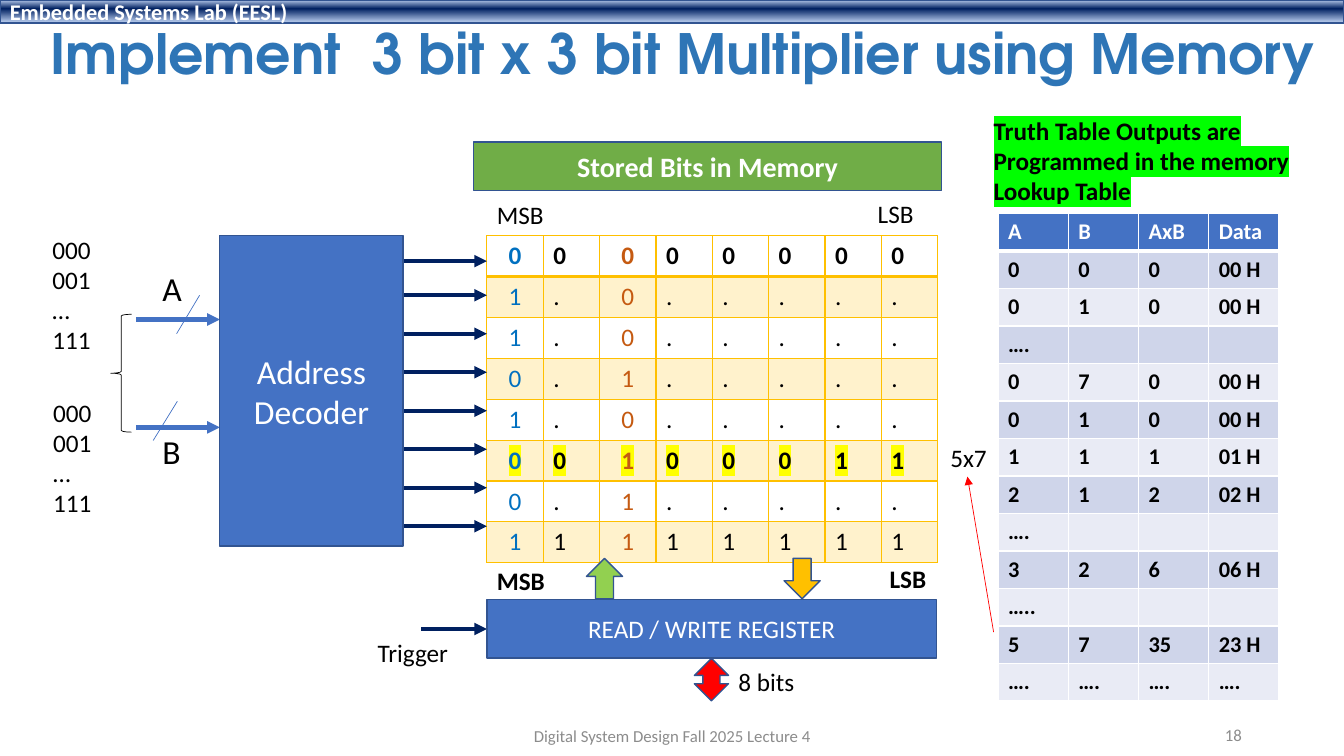
import lxml.etree
import pptx
import pptx.dml.color
import pptx.enum.shapes
import pptx.enum.text
import pptx.oxml.ns
import pptx.util

Cm, Pt = pptx.util.Cm, pptx.util.Pt
RGB = pptx.dml.color.RGBColor.from_string
qn = pptx.oxml.ns.qn
SubElement = lxml.etree.SubElement
MSO = pptx.enum.shapes.MSO_SHAPE
ALIGN = pptx.enum.text.PP_ALIGN
MIDDLE = pptx.enum.text.MSO_ANCHOR.MIDDLE

C = {
    "black": "000000", "white": "FFFFFF", "grey": "8C8C8C", "title": "2E75B6",
    "blue": "4472C4", "edge": "325491", "navy": "002060", "pale": "ABC0E4",
    "msb": "0070C0", "rust": "C55A11", "gold": "FFC000", "cream": "FFF2CC",
    "band1": "CFD5EA", "band2": "E9EBF5", "green": "70AD47", "lime": "92D050",
    "red": "FF0000", "yellow": "FFFF00", "neon": "00FF00",
}


def write(tf, text, size=18, color="black", bold=False, align=ALIGN.LEFT,
          highlight=None, font="Calibri"):
    """Fill a text frame with one paragraph per line of text."""
    for i, line in enumerate(text.split("\n")):
        p = tf.add_paragraph() if i else tf.paragraphs[0]
        p.alignment = align
        if not line:
            SubElement(p._p, qn("a:endParaRPr"), sz=str(size * 100))
            continue
        r = p.add_run()
        r.text = line
        r.font.size, r.font.bold, r.font.name = Pt(size), bold, font
        r.font.color.rgb = RGB(C[color])
        if highlight:
            mark = lxml.etree.Element(qn("a:highlight"))
            SubElement(mark, qn("a:srgbClr"), val=C[highlight])
            r._r.rPr.find(qn("a:solidFill")).addnext(mark)


def style_cell(cell, fill, border, top=1, bottom=1):
    """Set fill and borders; top and bottom are line widths in points."""
    if fill:
        cell.fill.solid()
        cell.fill.fore_color.rgb = RGB(C[fill])
    else:
        cell.fill.background()
    tcPr = cell._tc.get_or_add_tcPr()
    widths = {"a:lnL": 1, "a:lnR": 1, "a:lnT": top, "a:lnB": bottom}
    for i, (tag, width) in enumerate(widths.items()):
        ln = lxml.etree.Element(qn(tag), w=str(Pt(width)))
        SubElement(SubElement(ln, qn("a:solidFill")), qn("a:srgbClr"), val=C[border])
        tcPr.insert(i, ln)


prs = pptx.Presentation()
prs.slide_width, prs.slide_height = Cm(33.87), Cm(19.05)
s = prs.slides.add_slide(prs.slide_layouts[6])

# Memory contents, one string per word
words = ["00000000", "1.0.....", "1.0.....", "0.1.....",
         "1.0.....", "00100011", "0.1.....", "11111111"]
product_row = 5
memory = s.shapes.add_table(8, 8, Cm(12.27), Cm(5.94), Cm(11.36), Cm(7.76)).table
for col in memory.columns:
    col.width = Cm(1.42)
for i, word in enumerate(words):
    memory.rows[i].height = Cm(0.97)
    for j, bit in enumerate(word):
        cell = memory.cell(i, j)
        write(cell.text_frame, bit, color={0: "msb", 2: "rust"}.get(j, "black"),
              bold=i in (0, product_row),
              align=ALIGN.CENTER if j in (0, 2) else ALIGN.LEFT,
              highlight="yellow" if i == product_row else None)
        style_cell(cell, "cream" if i % 2 else None, "gold",
                   top=2 if i == 1 else 1, bottom=2 if i == 0 else 1)

# Truth table
truth_rows = [
    ("A", "B", "AxB", "Data"),
    ("0", "0", "0", "00 H"),
    ("0", "1", "0", "00 H"),
    ("….", "", "", ""),
    ("0", "7", "0", "00 H"),
    ("0", "1", "0", "00 H"),
    ("1", "1", "1", "01 H"),
    ("2", "1", "2", "02 H"),
    ("….", "", "", ""),
    ("3", "2", "6", "06 H"),
    ("…..", "", "", ""),
    ("5", "7", "35", "23 H"),
    ("….", "….", "….", "…."),
]
truth = s.shapes.add_table(13, 4, Cm(25.15), Cm(5.38), Cm(7.08), Cm(12.09)).table
for col in truth.columns:
    col.width = Cm(1.77)
for i, row in enumerate(truth_rows):
    truth.rows[i].height = Cm(0.93)
    for j, value in enumerate(row):
        cell = truth.cell(i, j)
        write(cell.text_frame, value, 16, "black" if i else "white", bold=True)
        fill = ("band2", "band1")[i % 2] if i else "blue"
        style_cell(cell, fill, "white", top=3 if i == 1 else 1, bottom=1 if i else 3)

# Lines and arrows: start, end, colour, width, arrowhead
lines = [
    (25.04, 15.93, 24.38, 12.01, "red", 0.5, True),
    (3.43, 8.05, 5.54, 8.05, "blue", 3, True),
    (3.43, 10.77, 5.54, 10.77, "blue", 3, True),
    (5.03, 7.44, 4.45, 8.41, "blue", 0.5, False),
    (4.47, 10.11, 3.86, 11.1, "blue", 0.5, False),
    (10.62, 15.85, 12.27, 15.85, "navy", 3, True),
]
for y in [6.58] + [7.44 + 0.97 * i for i in range(7)]:
    lines.append((10.16, y, 12.27, y, "navy", 3, True))
for x1, y1, x2, y2, color, width, arrow in lines:
    cx = s.shapes.add_connector(pptx.enum.shapes.MSO_CONNECTOR.STRAIGHT,
                                Cm(x1), Cm(y1), Cm(x2), Cm(y2))
    cx.line.color.rgb = RGB(C[color])
    cx.line.width = Pt(width)
    if arrow:
        SubElement(cx.line._get_or_add_ln(), qn("a:tailEnd"), type="triangle")
    SubElement(cx._element.spPr, qn("a:effectLst"))

# Shapes: preset, left, top, width, height, fill, line, text, size, bold, alignment
CENTER, LEFT, RIGHT = ALIGN.CENTER, ALIGN.LEFT, ALIGN.RIGHT
shapes = [
    (MSO.RECTANGLE, 0, 0, 33.87, 0.58, "navy", "edge",
     "Embedded Systems Lab (EESL)", 16, True, LEFT),
    (MSO.RECTANGLE, 5.54, 5.94, 4.62, 7.82, "blue", "edge",
     "Address\nDecoder", 24, False, CENTER),
    (MSO.RECTANGLE, 12.27, 15.11, 11.33, 1.47, "blue", "edge",
     "READ / WRITE REGISTER", 18, False, CENTER),
    (MSO.RECTANGLE, 11.94, 3.58, 11.79, 1.22, "green", "edge",
     "Stored Bits in Memory", 20, True, CENTER),
    (MSO.LEFT_BRACE, 2.79, 7.92, 0.53, 2.97, None, "black", "", 18, False, CENTER),
    (MSO.UP_DOWN_ARROW, 17.5, 16.59, 0.86, 1.07, "red", "edge", "", 18, False, CENTER),
    (MSO.UP_ARROW, 14.78, 14.07, 0.91, 1.02, "lime", "edge", "", 18, False, CENTER),
    (MSO.DOWN_ARROW, 19.76, 14.07, 0.91, 1.02, "gold", "edge", "", 18, False, CENTER),
]
for preset, x, y, w, h, fill, edge, text, size, bold, align in shapes:
    sp = s.shapes.add_shape(preset, Cm(x), Cm(y), Cm(w), Cm(h))
    sp.shadow.inherit = False
    sp.line.color.rgb = RGB(C[edge])
    sp.line.width = Pt(1 if fill else 0.5)
    if y == 0:
        sp.fill.gradient()
        sp.fill.gradient_angle = 270
        stops = sp._element.spPr.find(qn("a:gradFill")).find(qn("a:gsLst"))
        for gs in list(stops):
            stops.remove(gs)
        for pos, color in ((2, "pale"), (38, "navy"), (93, "pale")):
            gs = SubElement(stops, qn("a:gs"), pos=str(pos * 1000))
            SubElement(gs, qn("a:srgbClr"), val=C[color])
    elif fill:
        sp.fill.solid()
        sp.fill.fore_color.rgb = RGB(C[fill])
    else:
        sp.fill.background()
    if text:
        sp.text_frame.vertical_anchor = MIDDLE
        write(sp.text_frame, text, size, "white", bold, align)

# Labels: left, top, width, height, text, size, bold, highlight
codes = "000\n001\n…\n111"
labels = [
    (12.27, 4.9, 1.7, 1.02, "MSB", 18, False, None),
    (21.87, 4.88, 1.42, 1.02, "LSB", 18, False, None),
    (12.27, 14.12, 1.73, 1.02, "MSB", 18, True, None),
    (22.17, 14.07, 1.45, 1.02, "LSB", 18, True, None),
    (24.79, 2.77, 8.03, 2.57, "Truth Table Outputs are\nProgrammed in the memory\nLookup Table",
     18, True, "neon"),
    (23.7, 11.02, 1.45, 1.02, "5x7", 18, False, None),
    (3.84, 6.63, 1.19, 1.28, "A", 24, False, None),
    (3.84, 10.74, 1.19, 1.28, "B", 24, False, None),
    (1.07, 5.77, 1.5, 3.33, codes, 18, False, None),
    (1.09, 9.88, 1.5, 3.33, codes, 18, False, None),
    (18.36, 16.66, 1.93, 1.02, "8 bits", 18, False, None),
    (9.27, 15.93, 2.31, 1.02, "Trigger", 18, False, None),
]
for x, y, w, h, text, size, bold, highlight in labels:
    tf = s.shapes.add_textbox(Cm(x), Cm(y), Cm(w), Cm(h)).text_frame
    tf.word_wrap = False
    write(tf, text, size, bold=bold, highlight=highlight)

# Title, footer and slide number
for x, y, w, h, text, size, color, bold, align, font in [
    (1.02, 0.53, 32.79, 1.8, "Implement  3 bit x 3 bit Multiplier using Memory",
     39.6, "title", True, LEFT, "TeX Gyre Adventor"),
    (11.23, 18.03, 11.43, 1.02, "Digital System Design Fall 2025 Lecture 4",
     12, "grey", False, CENTER, "Calibri"),
    (23.93, 18.01, 7.62, 1.02, "18", 12, "grey", False, RIGHT, "Calibri"),
]:
    tf = s.shapes.add_textbox(Cm(x), Cm(y), Cm(w), Cm(h)).text_frame
    tf.word_wrap = True
    tf.vertical_anchor = MIDDLE
    write(tf, text, size, color, bold, align, font=font)
    tf.paragraphs[0].line_spacing = 0.9 if bold else 1.0

prs.save("out.pptx")
